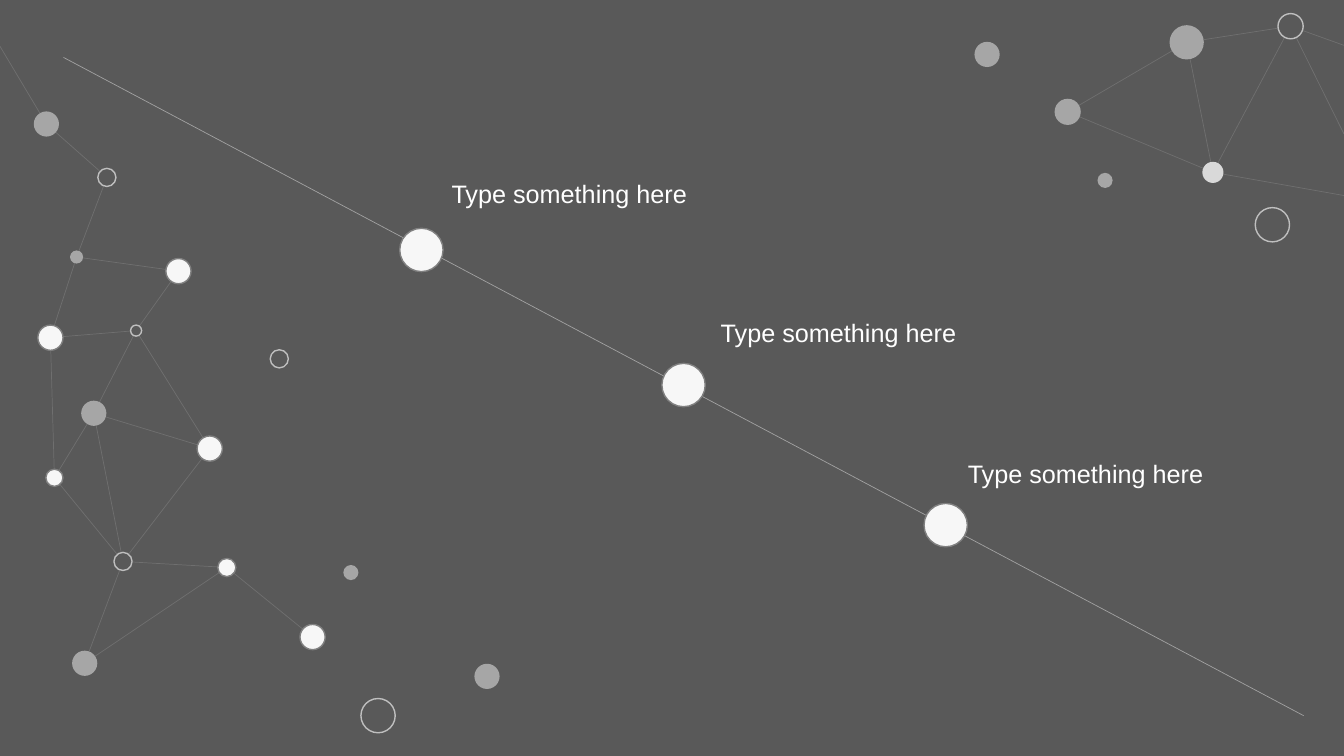
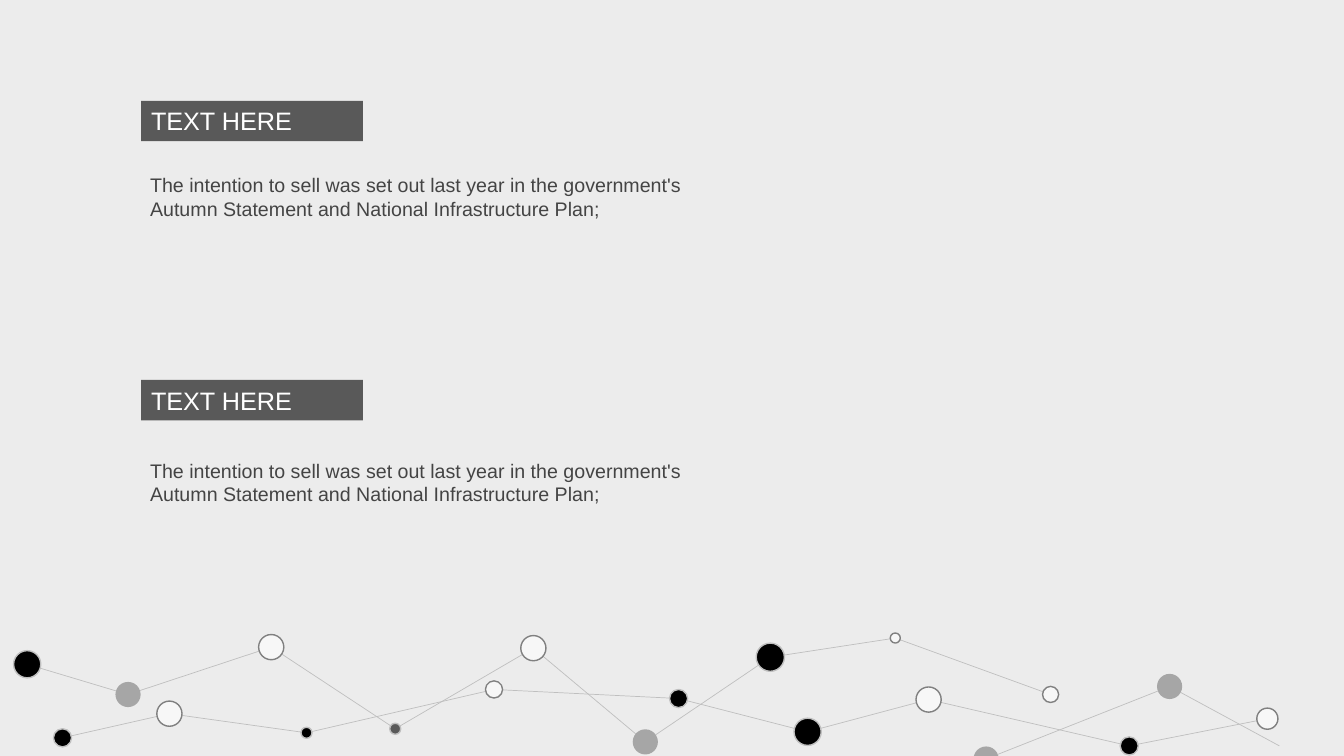
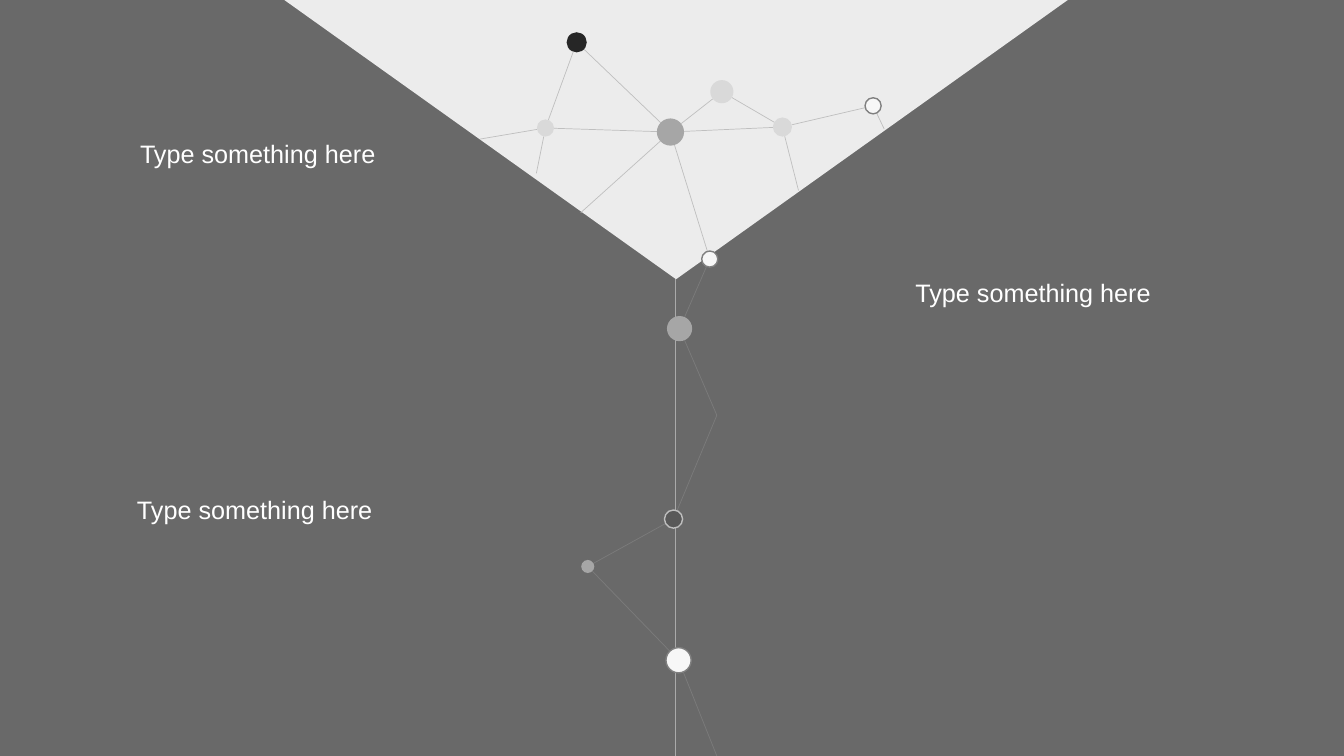
"""Build three slides whose networks are named dots joined by chains of lines."""
from collections import namedtuple
from math import hypot

from lxml import etree
from pptx import Presentation
from pptx.dml.color import RGBColor
from pptx.enum.shapes import MSO_CONNECTOR, MSO_SHAPE
from pptx.enum.text import MSO_ANCHOR, PP_ALIGN
from pptx.oxml.ns import qn
from pptx.util import Inches, Pt

STRAIGHT = MSO_CONNECTOR.STRAIGHT
ELLIPSE, RECT, TRIANGLE = MSO_SHAPE.OVAL, MSO_SHAPE.RECTANGLE, MSO_SHAPE.ISOSCELES_TRIANGLE
LEFT, TOP = PP_ALIGN.LEFT, MSO_ANCHOR.TOP

WIDTH, HEIGHT = 13.33, 7.5
FONT = "Arial"
WHITE = RGBColor(0xFF, 0xFF, 0xFF)
SNOW = RGBColor(0xF7, 0xF7, 0xF7)
PAPER = RGBColor(0xEC, 0xEC, 0xEC)
PALE = RGBColor(0xD9, 0xD9, 0xD9)
SILVER = RGBColor(0xBF, 0xBF, 0xBF)
GREY = RGBColor(0xA6, 0xA6, 0xA6)
STEEL = RGBColor(0x80, 0x80, 0x80)
ASH = RGBColor(0x69, 0x69, 0x69)
SLATE = RGBColor(0x59, 0x59, 0x59)
INK = RGBColor(0x44, 0x44, 0x44)
COAL = RGBColor(0x26, 0x26, 0x26)
BLACK = RGBColor(0, 0, 0)

DOT_STYLES = {
    "white": (SNOW, STEEL),
    "hollow": (SLATE, SILVER),
    "black": (BLACK, SILVER),
    "grey": (GREY, None),
    "pale": (PALE, None),
    "coal": (COAL, None),
}
LINE_STYLES = {"axis": (WHITE, 43), "faint": (SILVER, 21), "plain": (SILVER, 100)}

Node = namedtuple("Node", "x y size style", defaults=(0, None))

CAPTION = "Type something here"
HEADING = "TEXT HERE"
BODY = ("The intention to sell was set out last year in the government's "
        "Autumn Statement and National Infrastructure Plan;")

TIMELINE = [Node(0.63, 0.57), Node(12.93, 7.1)]
MILESTONE_LEFT, MILESTONE_STEP, MILESTONE_SIZE = 4.18, 2.6, 0.43
MILESTONE_TOPS = [2.48, 3.82, 5.21]
MILESTONE_CAPTIONS = [(4.38, 1.72), (7.05, 3.1), (9.5, 4.5)]

SIDE_NODES = {
    "entry": Node(0, 0.46),
    "crown": Node(0.46, 1.23, 0.25, "grey"),
    "ring": Node(1.06, 1.76, 0.18, "hollow"),
    "bead": Node(0.76, 2.55, 0.13, "grey"),
    "lamp": Node(1.77, 2.69, 0.25, "white"),
    "west": Node(0.5, 3.35, 0.25, "white"),
    "pin": Node(1.35, 3.28, 0.11, "hollow"),
    "core": Node(0.93, 4.1, 0.25, "grey"),
    "east": Node(2.08, 4.45, 0.25, "white"),
    "heel": Node(0.54, 4.74, 0.17, "white"),
    "joint": Node(1.22, 5.57, 0.18, "hollow"),
    "bridge": Node(2.25, 5.63, 0.18, "white"),
    "foot": Node(0.84, 6.58, 0.25, "grey"),
    "tip": Node(3.1, 6.32, 0.25, "white"),
}
SIDE_CHAINS = [
    "entry crown ring bead lamp pin",
    "bead west pin core heel joint foot bridge tip",
    "west heel",
    "joint core east",
    "pin east joint bridge",
]

CORNER_NODES = {
    "outer": Node(10.59, 1.11, 0.26, "grey"),
    "big": Node(11.77, 0.42, 0.34, "grey"),
    "ring": Node(12.8, 0.26, 0.25, "hollow"),
    "low": Node(12.03, 1.71, 0.21, "pale"),
    "exit_high": Node(WIDTH, 0.45),
    "exit_middle": Node(WIDTH, 1.33),
    "exit_low": Node(WIDTH, 1.94),
}
CORNER_CHAINS = [
    "outer big ring exit_high",
    "big low ring exit_middle",
    "outer low exit_low",
]

LOOSE_DOTS = [
    Node(2.77, 3.56, 0.18, "hollow"),
    Node(3.75, 7.1, 0.34, "hollow"),
    Node(12.62, 2.23, 0.34, "hollow"),
    Node(4.83, 6.71, 0.25, "grey"),
    Node(9.79, 0.54, 0.25, "grey"),
    Node(3.48, 5.68, 0.15, "grey"),
    Node(10.96, 1.79, 0.15, "grey"),
]

SECTION_LEFT, BODY_LEFT = 1.4, 1.39
SECTION_TOPS = [(1, 1.67), (3.77, 4.5)]
UPPER_WAVE = [
    Node(0.27, 6.59, 0.27, "black"),
    Node(1.27, 6.89, 0.25, "grey"),
    Node(2.69, 6.42, 0.25, "white"),
    Node(3.92, 7.23, 0.11, "hollow"),
    Node(5.29, 6.43, 0.25, "white"),
    Node(6.4, 7.36, 0.25, "grey"),
    Node(7.64, 6.52, 0.28, "black"),
    Node(8.88, 6.33, 0.1, "white"),
    Node(10.42, 6.89, 0.16, "white"),
]
LOWER_WAVE = [
    Node(0.62, 7.32, 0.18, "black"),
    Node(1.68, 7.08, 0.25, "white"),
    Node(3.04, 7.27, 0.11, "black"),
    Node(4.9, 6.84, 0.17, "white"),
    Node(6.73, 6.93, 0.18, "black"),
    Node(8.01, 7.26, 0.27, "black"),
    Node(9.21, 6.94, 0.25, "white"),
    Node(11.2, 7.4, 0.18, "black"),
    Node(12.57, 7.13, 0.21, "white"),
]
SHORT_WAVE = [
    Node(9.78, 7.53, 0.25, "grey"),
    Node(11.6, 6.81, 0.25, "grey"),
    Node(12.69, 7.4),
]

FUNNEL_BOX = (2.82, 0, 7.77, 2.77)
STEM = [Node(6.7, 2.77), Node(6.7, HEIGHT)]
FUNNEL_CAPTIONS = [(1.29, 1.32), (8.98, 2.7), (1.26, 4.85)]
FUNNEL_NODES = {
    "hub": Node(6.65, 1.31, 0.27, "grey"),
    "top": Node(5.72, 0.42, 0.2, "coal"),
    "left": Node(5.41, 1.27, 0.17, "pale"),
    "peak": Node(7.16, 0.91, 0.23, "pale"),
    "right": Node(7.76, 1.26, 0.19, "pale"),
    "far": Node(8.66, 1.05, 0.16, "white"),
    "rim_left": Node(4.76, 1.38),
    "rim_second": Node(5.32, 1.72),
    "rim_third": Node(5.76, 2.11),
    "rim_fourth": Node(7.92, 1.89),
    "rim_right": Node(8.77, 1.28),
    "drop": Node(7.04, 2.57, 0.16, "white"),
    "bulb": Node(6.74, 3.26, 0.25, "grey"),
    "bend": Node(7.11, 4.12),
    "ring": Node(6.68, 5.15, 0.18, "hollow"),
    "bead": Node(5.83, 5.62, 0.13, "grey"),
    "lamp": Node(6.73, 6.55, 0.25, "white"),
    "exit": Node(7.11, HEIGHT),
}
FUNNEL_CHAINS = [
    "rim_left left top hub peak right far rim_right",
    "rim_second left hub right rim_fourth",
    "rim_third hub drop",
]
THREAD_CHAINS = ["drop bulb bend ring bead lamp exit"]


def add_shape(s, kind, box, fill, outline=None):
    sp = s.shapes.add_shape(kind, *map(Inches, box))
    sp.shadow.inherit = False
    sp.fill.solid()
    sp.fill.fore_color.rgb = fill
    if outline is None:
        sp.line.fill.background()
    else:
        sp.line.color.rgb = outline
        sp.line.width = Pt(1)
    return sp


def add_text(s, text, box, size=18, color=WHITE, fill=None):
    if fill is None:
        sp = s.shapes.add_textbox(*map(Inches, box))
    else:
        sp = add_shape(s, RECT, box, fill)
    tf = sp.text_frame
    tf.word_wrap = True
    tf.vertical_anchor = TOP
    p = tf.paragraphs[0]
    p.alignment = LEFT
    r = p.add_run()
    r.text = text
    r.font.name, r.font.size, r.font.color.rgb = FONT, Pt(size), color


def add_captions(s, spots):
    for left, top in spots:
        add_text(s, CAPTION, (left, top, 2.62, 0.4))


def rim_point(node, toward):
    dx, dy = toward.x - node.x, toward.y - node.y
    share = node.size / 2 / hypot(dx, dy)
    return node.x + dx * share, node.y + dy * share


def add_link(s, start, end, style):
    color, opacity = LINE_STYLES[style]
    ends = rim_point(start, end) + rim_point(end, start)
    cn = s.shapes.add_connector(STRAIGHT, *map(Inches, ends))
    cn.line.color.rgb = color
    cn.line.width = Pt(0.5)
    sp_pr = cn._element.spPr
    if opacity < 100:
        clr = sp_pr.find(".//" + qn("a:srgbClr"))
        etree.SubElement(clr, qn("a:alpha"), val=str(opacity * 1000))
    etree.SubElement(sp_pr, qn("a:effectLst"))


def add_chain(s, nodes, style):
    for start, end in zip(nodes, nodes[1:]):
        add_link(s, start, end, style)


def add_named_chains(s, nodes, chains, style):
    for chain in chains:
        add_chain(s, [nodes[name] for name in chain.split()], style)


def add_dots(s, nodes):
    for node in nodes:
        if node.style:
            corner = (node.x - node.size / 2, node.y - node.size / 2)
            add_shape(s, ELLIPSE, corner + (node.size, node.size), *DOT_STYLES[node.style])


def add_slide(prs, background):
    s = prs.slides.add_slide(prs.slide_layouts[6])
    s.background.fill.solid()
    s.background.fill.fore_color.rgb = background
    return s


def build_timeline(prs):
    s = add_slide(prs, SLATE)
    add_chain(s, TIMELINE, "axis")
    for nodes, chains in ((SIDE_NODES, SIDE_CHAINS), (CORNER_NODES, CORNER_CHAINS)):
        add_named_chains(s, nodes, chains, "faint")
        add_dots(s, nodes.values())
    add_dots(s, LOOSE_DOTS)
    add_dots(s, [Node(MILESTONE_LEFT + i * MILESTONE_STEP, y, MILESTONE_SIZE, "white")
                 for i, y in enumerate(MILESTONE_TOPS)])
    add_captions(s, MILESTONE_CAPTIONS)


def build_sections(prs):
    s = add_slide(prs, PAPER)
    for heading_top, body_top in SECTION_TOPS:
        add_text(s, HEADING, (SECTION_LEFT, heading_top, 2.2, 0.4), fill=SLATE)
        add_text(s, BODY, (BODY_LEFT, body_top, 5.84, 0.57), size=14, color=INK)
    waves = (UPPER_WAVE, LOWER_WAVE, SHORT_WAVE)
    for wave in waves:
        add_chain(s, wave, "plain")
    for wave in waves:
        add_dots(s, wave)


def build_funnel(prs):
    s = add_slide(prs, ASH)
    add_shape(s, TRIANGLE, FUNNEL_BOX, PAPER).rotation = 180
    add_chain(s, STEM, "axis")
    add_named_chains(s, FUNNEL_NODES, THREAD_CHAINS, "faint")
    add_named_chains(s, FUNNEL_NODES, FUNNEL_CHAINS, "plain")
    add_dots(s, FUNNEL_NODES.values())
    add_captions(s, FUNNEL_CAPTIONS)


def main():
    prs = Presentation()
    prs.slide_width, prs.slide_height = Inches(WIDTH), Inches(HEIGHT)
    for build in (build_timeline, build_sections, build_funnel):
        build(prs)
    prs.save("out.pptx")


if __name__ == "__main__":
    main()
